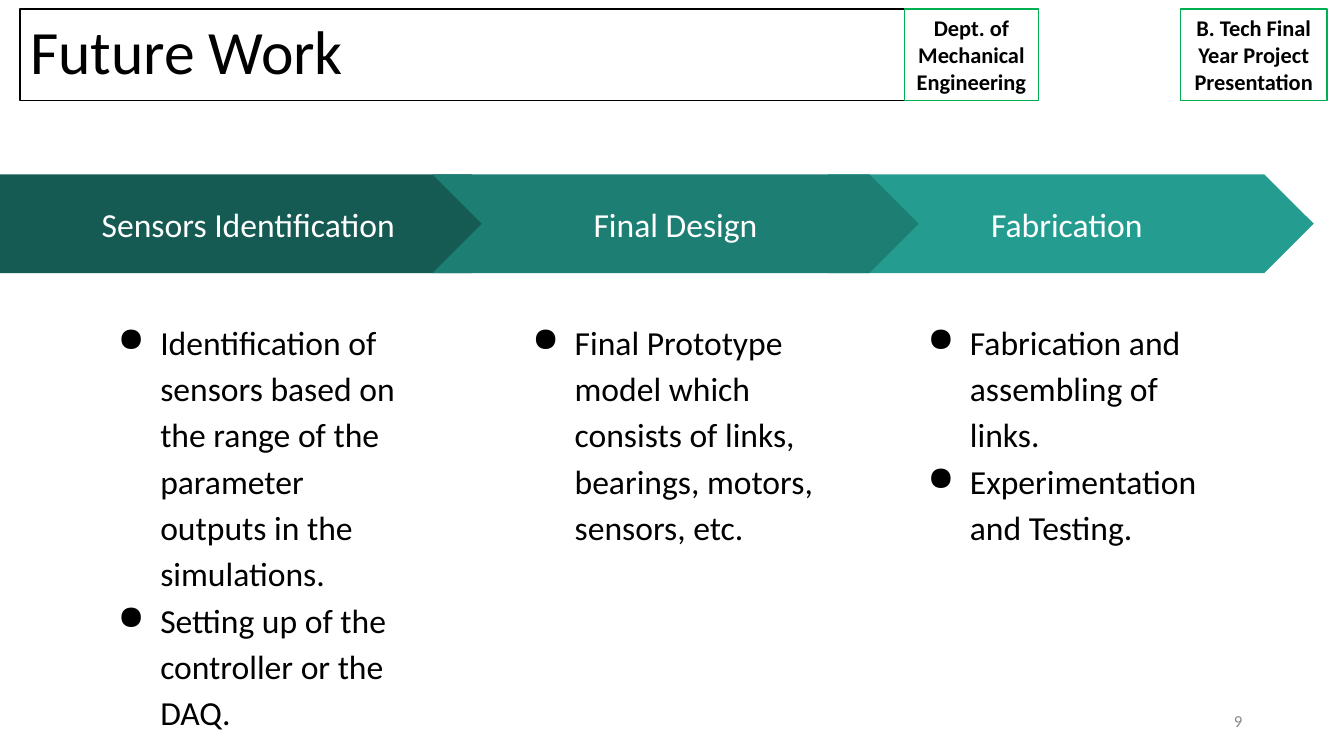
from lxml import etree
from pptx import Presentation, util as u
from pptx.dml.color import RGBColor
from pptx.enum import shapes, text
from pptx.oxml.ns import qn

FONT = "Calibri"
COLORS = {"ink": "000000", "white": "FFFFFF", "number": "888888", "badge": "00B050",
          "dark": "155B54", "mid": "1D7E74", "light": "249C90"}
TITLE = "Future Work"
NUMBER = "9"
# text, left, width
BADGES = [("Dept. of Mechanical Engineering", 8.97, 1.33),
          ("B. Tech Final Year Project Presentation", 11.71, 1.45)]
# heading, colour, bullets
STAGES = [
    ("Sensors Identification", "dark",
     ["Identification of sensors based on the range of the parameter outputs in the simulations.",
      "Setting up of the controller or the DAQ."]),
    ("Final Design", "mid",
     ["Final Prototype model which consists of links, bearings, motors, sensors, etc."]),
    ("Fabrication", "light",
     ["Fabrication and assembling of links.", "Experimentation and Testing."]),
]
DRAW_ORDER = (2, 0, 1)  # the middle chevron overlaps both neighbours

HEADER_TOP, HEADER_H = 0.09, 0.91
ARROW_TOP, ARROW_H, ARROW_W = 1.73, 0.98, 4.82
FIRST_ARROW_W = 5.17
CHEVRON_LEFT, CHEVRON_STEP = 4.29, 3.92
LIST_OFFSET, LIST_TOP, LIST_W, LIST_H = 0.78, 3, 3.26, 3.81
FIRST_LIST_LEFT = 0.96
PAD, INDENT, HANG = 0.13, 0.5, -0.42

SHAPE, ALIGN, ANCHOR = shapes.MSO_SHAPE, text.PP_ALIGN, text.MSO_ANCHOR

prs = Presentation()
prs.slide_width, prs.slide_height = u.Inches(13.33), u.Inches(7.5)
slide = prs.slides.add_slide(prs.slide_layouts[6])


def rgb(name):
    return RGBColor.from_string(COLORS[name])


def add_box(box, kind=None, fill=None, line=None, pad=None, anchor=ANCHOR.MIDDLE):
    """Add a preset shape, or a text box when kind is None."""
    box = [u.Inches(v) for v in box]
    if kind is None:
        sp = slide.shapes.add_textbox(*box)
    else:
        sp = slide.shapes.add_shape(kind, *box)
        sp.shadow.inherit = False
        if fill:
            sp.fill.solid()
            sp.fill.fore_color.rgb = rgb(fill)
        else:
            sp.fill.background()
        if line:
            sp.line.color.rgb = rgb(line)
            sp.line.width = u.Pt(1)
        else:
            sp.line.fill.background()
    tf = sp.text_frame
    tf.word_wrap = True
    tf.vertical_anchor = anchor
    if pad:
        tf.margin_left = tf.margin_right = tf.margin_top = tf.margin_bottom = u.Inches(pad)
    return tf


def write(p, words, size, color, align=ALIGN.LEFT, bold=False, spacing=None):
    p.alignment = align
    if spacing:
        p.line_spacing = spacing
    r = p.add_run()
    r.text = words
    r.font.name, r.font.size, r.font.bold = FONT, u.Pt(size), bold
    r.font.color.rgb = rgb(color)


def set_indent(p, first):
    pPr = p._p.get_or_add_pPr()
    pPr.set("marL", str(u.Inches(INDENT)))
    pPr.set("indent", str(u.Inches(first)))
    return pPr


def add_bullet(p):
    pPr = set_indent(p, HANG)
    color = etree.SubElement(pPr, qn("a:buClr"))
    etree.SubElement(color, qn("a:srgbClr")).set("val", COLORS["ink"])
    etree.SubElement(pPr, qn("a:buChar")).set("char", "●")


def add_stage(i):
    heading, color, bullets = STAGES[i]
    if i == 0:
        kind, left, width, list_left = SHAPE.PENTAGON, 0, FIRST_ARROW_W, FIRST_LIST_LEFT
    else:
        kind, width = SHAPE.CHEVRON, ARROW_W
        left = CHEVRON_LEFT + (i - 1) * CHEVRON_STEP
        list_left = left + LIST_OFFSET
    tf = add_box((left, ARROW_TOP, width, ARROW_H), kind, fill=color, pad=PAD)
    p = tf.paragraphs[0]
    last = i == len(STAGES) - 1
    if last:
        set_indent(p, INDENT)
    write(p, heading, 24, "white", ALIGN.LEFT if last else ALIGN.CENTER)

    tf = add_box((list_left, LIST_TOP, LIST_W, LIST_H), pad=PAD, anchor=ANCHOR.TOP)
    for n, words in enumerate(bullets):
        p = tf.add_paragraph() if n else tf.paragraphs[0]
        add_bullet(p)
        write(p, words, 24, "ink", spacing=1.15)


title = add_box((0.2, HEADER_TOP, 8.77, HEADER_H), SHAPE.RECTANGLE, line="ink")
write(title.paragraphs[0], TITLE, 44, "ink", spacing=0.9)
number = add_box((9.42, 6.95, 3, 0.4))
write(number.paragraphs[0], NUMBER, 12, "number", ALIGN.RIGHT)
for words, left, width in BADGES:
    badge = add_box((left, HEADER_TOP, width, HEADER_H), SHAPE.RECTANGLE,
                    line="badge", anchor=ANCHOR.TOP)
    write(badge.paragraphs[0], words, 16, "ink", ALIGN.CENTER, bold=True)
for i in DRAW_ORDER:
    add_stage(i)

prs.save("out.pptx")
